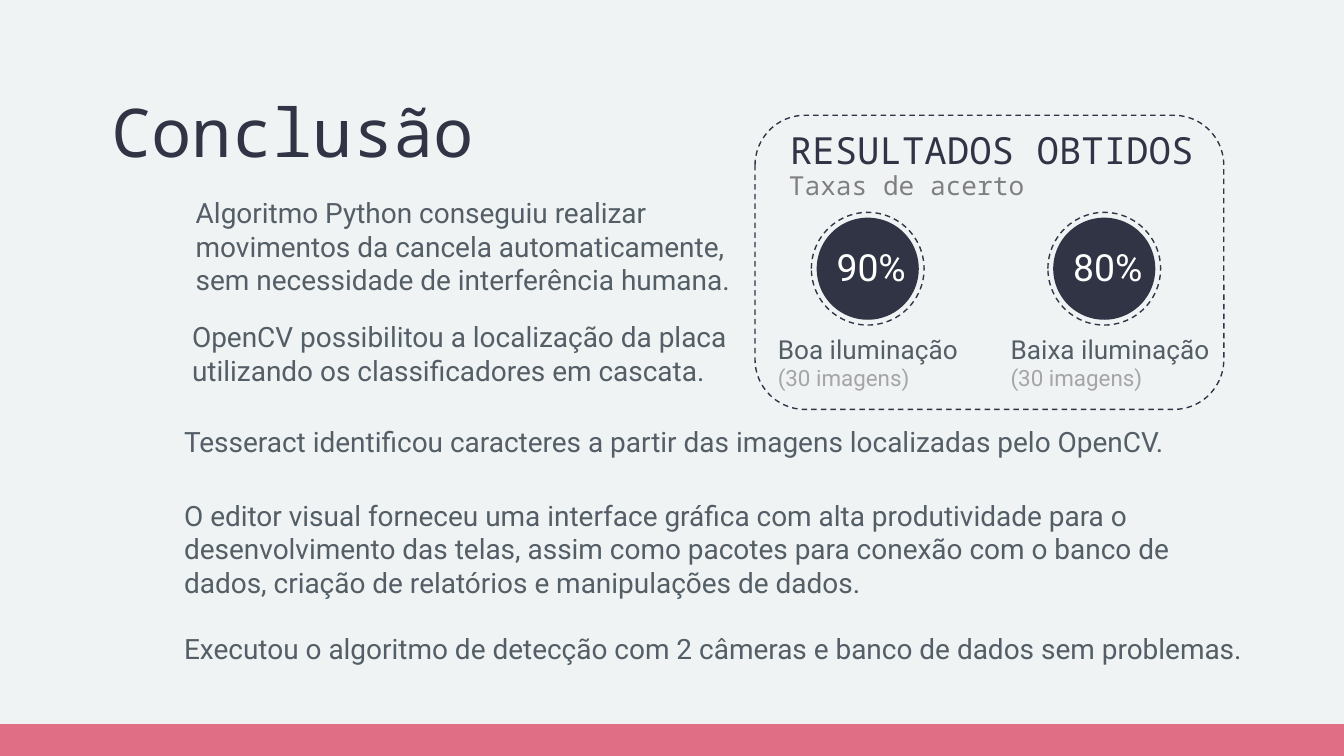
"""Build the conclusion slide with its panel of accuracy rates."""
from dataclasses import dataclass

from pptx import Presentation
from pptx.dml.color import RGBColor
from pptx.enum.dml import MSO_LINE
from pptx.enum.shapes import MSO_SHAPE
from pptx.enum.text import MSO_ANCHOR, MSO_AUTO_SIZE, PP_ALIGN
from pptx.util import Cm, Pt

RECTANGLE = MSO_SHAPE.RECTANGLE
ROUNDED = MSO_SHAPE.ROUNDED_RECTANGLE
OVAL = MSO_SHAPE.OVAL
DASH = MSO_LINE.DASH
TOP = MSO_ANCHOR.TOP
LEFT = PP_ALIGN.LEFT
NO_FIT = MSO_AUTO_SIZE.NONE


@dataclass(frozen=True)
class Theme:
    background: str = "F0F3F4"
    accent: str = "E06F85"
    dark: str = "313445"
    body: str = "545E66"
    muted: str = "7F7F7F"
    pale: str = "A5A5A5"
    white: str = "FFFFFF"
    mono: str = "Noto Sans Mono"
    sans: str = "Roboto"
    title_size: int = 36
    heading_size: int = 20
    body_size: int = 15
    label_size: int = 14
    note_size: int = 12


theme = Theme()


def write(box, text, font, size, color):
    frame = box.text_frame
    frame.word_wrap = True
    frame.auto_size = NO_FIT
    frame.vertical_anchor = TOP
    frame.margin_left = frame.margin_right = Cm(0.25)
    frame.margin_top = frame.margin_bottom = Cm(0.25)
    para = frame.paragraphs[0]
    para.alignment = LEFT
    span = para.add_run()
    span.text = text
    span.font.name = font
    span.font.size = Pt(size)
    span.font.color.rgb = RGBColor.from_string(color)


def draw(kind, left, top, width, height, fill=None, dashed=False):
    shape = page.shapes.add_shape(kind, Cm(left), Cm(top), Cm(width), Cm(height))
    shape.shadow.inherit = False
    if fill:
        shape.fill.solid()
        shape.fill.fore_color.rgb = RGBColor.from_string(fill)
    else:
        shape.fill.background()
    if dashed:
        shape.line.color.rgb = RGBColor.from_string(theme.dark)
        shape.line.width = Pt(0.75)
        shape.line.dash_style = DASH
    else:
        shape.line.fill.background()
    return shape


deck = Presentation()
deck.slide_width = Cm(25.4)
deck.slide_height = Cm(14.29)
page = deck.slides.add_slide(deck.slide_layouts[5])
page.background.fill.solid()
page.background.fill.fore_color.rgb = RGBColor.from_string(theme.background)

draw(RECTANGLE, 0, 13.69, 25.4, 0.6, theme.accent)
panel = draw(ROUNDED, 14.27, 2.18, 8.86, 5.56, theme.background, dashed=True)
panel.adjustments[0] = 0.17

title = page.shapes.title
title.left, title.top = Cm(1.85), Cm(1.45)
title.width, title.height = Cm(10.49), Cm(1.7)
write(title, "Conclusão", theme.mono, theme.title_size, theme.dark)

findings = [
    (3.45, 3.45, 10.92, 1.63,
     "Algoritmo Python conseguiu realizar movimentos da cancela "
     "automaticamente, sem necessidade de interferência humana."),
    (3.38, 5.79, 11.13, 1.63,
     "OpenCV possibilitou a localização da placa utilizando os "
     "classificadores em cascata."),
    (3.23, 7.77, 20.65, 1.63,
     "Tesseract identificou caracteres a partir das imagens localizadas "
     "pelo OpenCV."),
    (3.23, 9.17, 20.45, 2.24,
     "O editor visual forneceu uma interface gráfica com alta produtividade "
     "para o desenvolvimento das telas, assim como pacotes para conexão com "
     "o banco de dados, criação de relatórios e manipulações de dados."),
    (3.23, 11.68, 20.65, 1.63,
     "Executou o algoritmo de detecção com 2 câmeras e banco de dados sem "
     "problemas."),
]
for left, top, width, height, text in findings:
    box = page.shapes.add_textbox(Cm(left), Cm(top), Cm(width), Cm(height))
    write(box, text, theme.sans, theme.body_size, theme.body)

headings = [
    (14.68, 2.16, "RESULTADOS OBTIDOS", theme.heading_size, theme.dark),
    (14.66, 2.95, "Taxas de acerto", theme.label_size, theme.muted),
]
for left, top, text, size, color in headings:
    box = page.shapes.add_textbox(Cm(left), Cm(top), Cm(8.41), Cm(1.09))
    write(box, text, theme.mono, size, color)

center_y = 5.08
disc, ring = 1.93, 2.13
rates = [
    (16.4, 14.45, 4.24, "90%", "Boa iluminação"),
    (20.87, 18.85, 4.75, "80%", "Baixa iluminação"),
]
for center_x, label_left, label_width, rate, label in rates:
    for size, fill, dashed in [(disc, theme.dark, False), (ring, None, True)]:
        draw(OVAL, center_x - size / 2, center_y - size / 2, size, size, fill, dashed)
    captions = [
        (center_x - 0.84, 4.37, 2.13, 1.24, rate, theme.heading_size, theme.white),
        (label_left, 6.05, label_width, 1.07, label, theme.label_size, theme.body),
        (label_left, 6.63, 5.38, 0.99, "(30 imagens)", theme.note_size, theme.pale),
    ]
    for left, top, width, height, text, size, color in captions:
        box = page.shapes.add_textbox(Cm(left), Cm(top), Cm(width), Cm(height))
        write(box, text, theme.sans, size, color)

deck.save("out.pptx")
